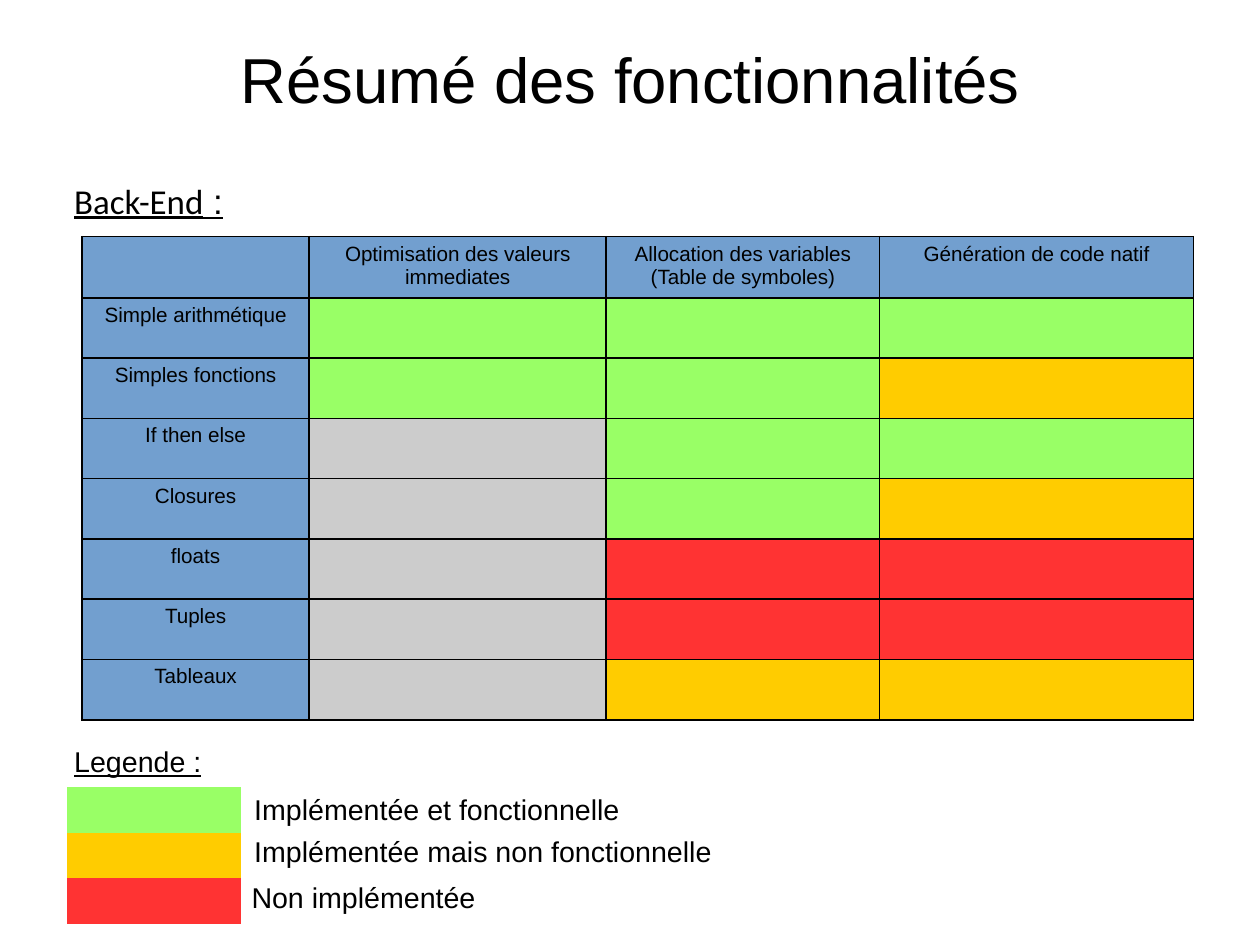
import pptx
import pptx.dml.color
import pptx.enum.text
import pptx.oxml.ns
import pptx.util
from lxml import etree

Cm = pptx.util.Cm
Pt = pptx.util.Pt
ALIGN = pptx.enum.text.PP_ALIGN
ANCHOR = pptx.enum.text.MSO_ANCHOR

HEADER, GREEN, ORANGE, RED, GREY = "729FCF", "99FF66", "FFCC00", "FF3333", "CCCCCC"
NO_STYLE = "{2D5ABB26-0587-4C30-8999-92F81FD0307C}"

COLUMN_WIDTHS = [5.05, 6.6, 6.07, 6.98]
STAGES = [
    "",
    "Optimisation des valeurs immediates",
    "Allocation des variables (Table de symboles)",
    "Génération de code natif",
]
FEATURES = [
    ("Simple arithmétique", GREEN, GREEN, GREEN),
    ("Simples fonctions", GREEN, GREEN, ORANGE),
    ("If then else", GREY, GREEN, GREEN),
    ("Closures", GREY, GREEN, ORANGE),
    ("floats", GREY, RED, RED),
    ("Tuples", GREY, RED, RED),
    ("Tableaux", GREY, ORANGE, ORANGE),
]
LEGEND = [
    (GREEN, "Implémentée et fonctionnelle", 3.91, 0),
    (ORANGE, "Implémentée mais non fonctionnelle", 3.91, 0.93),
    (RED, "Non implémentée", 3.85, 1.95),
]


def colour(value):
    return pptx.dml.color.RGBColor.from_string(value)


def write(para, text, size=18, font="Arial", underline=None, align=None):
    span = para.add_run()
    span.text = text
    span.font.size = Pt(size)
    span.font.name = font
    span.font.underline = underline
    span.font.color.rgb = colour("000000")
    if align is not None:
        para.alignment = align


def add_label(page, left, top, width, height):
    box = page.shapes.add_textbox(Cm(left), Cm(top), Cm(width), Cm(height))
    box.text_frame.word_wrap = False
    return box.text_frame


def add_grid(page, left, top, widths, row_height, rows):
    frame = page.shapes.add_table(
        rows, len(widths), Cm(left), Cm(top), Cm(sum(widths)), Cm(row_height * rows)
    )
    table = frame.table
    style = table._tbl.tblPr.find(pptx.oxml.ns.qn("a:tableStyleId"))
    style.text = NO_STYLE
    for column, width in zip(table.columns, widths):
        column.width = Cm(width)
    for row in table.rows:
        row.height = Cm(row_height)
    return table


def paint(cell, fill):
    cell.fill.solid()
    cell.fill.fore_color.rgb = colour(fill)


def outline(cell):
    properties = cell._tc.get_or_add_tcPr()
    for index, side in enumerate(("lnL", "lnR", "lnT", "lnB")):
        line = etree.Element(pptx.oxml.ns.qn("a:" + side), w=str(Pt(1.13)))
        solid = etree.SubElement(line, pptx.oxml.ns.qn("a:solidFill"))
        etree.SubElement(solid, pptx.oxml.ns.qn("a:srgbClr"), val="000000")
        properties.insert(index, line)


def add_title(page, left, top, width, height):
    frame = add_label(page, left, top, width, height)
    frame.word_wrap = True
    frame.vertical_anchor = ANCHOR.MIDDLE
    frame.margin_left = frame.margin_right = frame.margin_top = frame.margin_bottom = 0
    write(frame.paragraphs[0], "Résumé des fonctionnalités", size=40, align=ALIGN.CENTER)


def add_features(page, left, top):
    heading = add_label(page, left, top, 4.57, 1.19).paragraphs[0]
    write(heading, "Back-End", size=22, font="Calibri", underline=True)
    write(heading, " :", size=22, underline=True)

    rows = [[(stage, HEADER) for stage in STAGES]]
    for name, *states in FEATURES:
        rows.append([(name, HEADER)] + [("", state) for state in states])
    table = add_grid(page, left + 0.42, top + 1.4, COLUMN_WIDTHS, 1.34, len(rows))
    for row_index, row in enumerate(rows):
        for column_index, (text, fill) in enumerate(row):
            cell = table.cell(row_index, column_index)
            paint(cell, fill)
            outline(cell)
            if text:
                write(cell.text_frame.paragraphs[0], text, size=13, align=ALIGN.CENTER)


def add_legend(page, left, top):
    heading = add_label(page, left, top, 3.33, 0.97).paragraphs[0]
    write(heading, "Legende :", underline=True)

    grid_left, grid_top = left + 0.09, top + 1.07
    table = add_grid(page, grid_left, grid_top, [3.86], 1.02, len(LEGEND))
    for index, (fill, text, offset_x, offset_y) in enumerate(LEGEND):
        paint(table.cell(index, 0), fill)
        frame = add_label(page, grid_left + offset_x, grid_top + offset_y, 10.67, 0.97)
        write(frame.paragraphs[0], text)


def main():
    deck = pptx.Presentation()
    deck.slide_width, deck.slide_height = Cm(28), Cm(21)
    page = deck.slides.add_slide(deck.slide_layouts[6])
    add_title(page, 1.4, 0.77, 25.2, 1.93)
    add_features(page, 1.4, 3.86)
    add_legend(page, 1.4, 16.41)
    deck.save("out.pptx")


if __name__ == "__main__":
    main()
